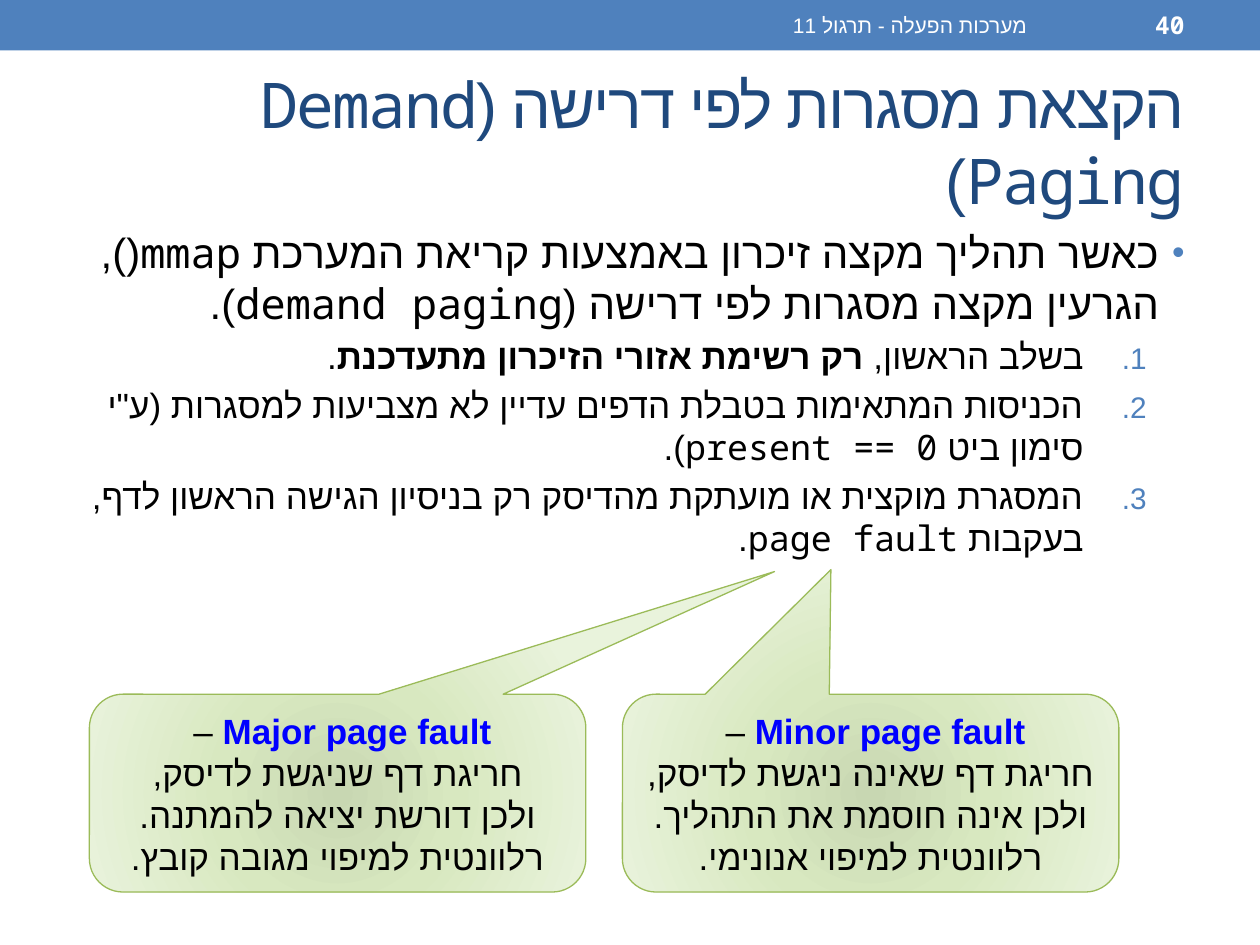
from lxml import etree
from pptx import Presentation
from pptx.dml.color import RGBColor
from pptx.enum.shapes import MSO_SHAPE
from pptx.enum.text import MSO_ANCHOR, PP_ALIGN
from pptx.oxml import parse_xml
from pptx.oxml.ns import qn
from pptx.util import Inches, Pt

RECTANGLE = MSO_SHAPE.RECTANGLE
CALLOUT = MSO_SHAPE.ROUNDED_RECTANGULAR_CALLOUT
TOP, MIDDLE = MSO_ANCHOR.TOP, MSO_ANCHOR.MIDDLE
RIGHT, CENTER = PP_ALIGN.RIGHT, PP_ALIGN.CENTER
DRAWING = "http://schemas.openxmlformats.org/drawingml/2006/main"

THEME = {
    "mono": "Noto Sans Mono", "sans": "Arial",
    "accent": "4F81BD", "title": "1F497D", "text": "000000", "light": "FFFFFF",
    "term": "0000FF", "callout_line": "9BBB59",
    "gradient": [(0, "C8D7B2"), (45, "D8E8C0"), (100, "E9F3DC")],
    "title_size": 36, "body_size": 24, "item_size": 20, "number_size": 14, "footer_size": 12,
}

FOOTER = "מערכות הפעלה - תרגול 11"
SLIDE_NUMBER = "40"
TITLE = "הקצאת מסגרות לפי דרישה (Demand Paging)"
LEAD = "כאשר תהליך מקצה זיכרון באמצעות קריאת המערכת mmap(), הגרעין מקצה מסגרות לפי דרישה (demand paging)."
STEPS = [
    [("בשלב הראשון, ", False), ("רק רשימת אזורי הזיכרון מתעדכנת", True), (".", False)],
    [("הכניסות המתאימות בטבלת הדפים עדיין לא מצביעות למסגרות (ע\"י סימון ביט present == 0).", False)],
    [("המסגרת מוקצית או מועתקת מהדיסק רק בניסיון הגישה הראשון לדף, בעקבות page fault.", False)],
]
CALLOUTS = [
    {"term": "Major page fault ", "pointer": (0.88, -1.12),
     "lines": ["חריגת דף שניגשת לדיסק,\nולכן דורשת יציאה להמתנה.", "רלוונטית למיפוי מגובה קובץ."]},
    {"term": "Minor page fault ", "pointer": (-0.08, -1.13),
     "lines": ["חריגת דף שאינה ניגשת לדיסק,\nולכן אינה חוסמת את התהליך.", "רלוונטית למיפוי אנונימי."]},
]
CALLOUT_LEFT, CALLOUT_TOP, CALLOUT_PITCH = 0.71, 5.51, 4.23
CALLOUT_WIDTH, CALLOUT_HEIGHT = 3.94, 1.57


def format_run(run, size, color, font, bold=False, complex_font=THEME["sans"]):
    run.font.size = Pt(size)
    run.font.bold = bold
    run.font.name = font
    run.font.color.rgb = RGBColor.from_string(THEME[color])
    etree.SubElement(run.font._element, qn("a:cs"), typeface=complex_font)


def set_direction(paragraph, alignment):
    paragraph.alignment = alignment
    paragraph._p.get_or_add_pPr().set("rtl", "1")


def add_text_box(slide, box, anchor=MIDDLE):
    text_frame = slide.shapes.add_textbox(*map(Inches, box)).text_frame
    text_frame.word_wrap = True
    text_frame.vertical_anchor = anchor
    return text_frame


def add_line(slide, box, text, size, color, bold=False, complex_font=THEME["sans"]):
    paragraph = add_text_box(slide, box).paragraphs[0]
    paragraph.text = text
    set_direction(paragraph, RIGHT)
    format_run(paragraph.runs[0], size, color, THEME["mono"], bold, complex_font)
    return paragraph


def set_bullet(paragraph, size, margin, hanging, marker, **attributes):
    set_direction(paragraph, RIGHT)
    paragraph.space_before = Pt(size * 0.2)
    properties = paragraph._p.get_or_add_pPr()
    properties.set("marL", str(Inches(margin)))
    properties.set("indent", str(-Inches(hanging)))
    color = etree.SubElement(properties, qn("a:buClr"))
    etree.SubElement(color, qn("a:srgbClr"), val=THEME["accent"])
    etree.SubElement(properties, qn("a:buSzPct"), val="85000")
    etree.SubElement(properties, qn("a:buFont"), typeface=THEME["sans"])
    etree.SubElement(properties, qn(marker), **attributes)


def add_body(slide):
    text_frame = add_text_box(slide, (0.5, 1.75, 9, 5.33), TOP)
    lead = text_frame.paragraphs[0]
    lead.text = LEAD
    set_bullet(lead, THEME["body_size"], 0.2, 0.2, "a:buChar", char="•")
    format_run(lead.runs[0], THEME["body_size"], "text", THEME["mono"])
    for step in STEPS:
        paragraph = text_frame.add_paragraph()
        paragraph.level = 1
        set_bullet(paragraph, THEME["item_size"], 0.8, 0.5, "a:buAutoNum", type="arabicPeriod")
        for text, bold in step:
            run = paragraph.add_run()
            run.text = text
            format_run(run, THEME["item_size"], "text", THEME["mono"], bold)


def set_gradient(shape):
    stops = "".join(
        f'<a:gs pos="{position * 1000}"><a:srgbClr val="{color}"/></a:gs>'
        for position, color in THEME["gradient"])
    gradient = parse_xml(
        f'<a:gradFill xmlns:a="{DRAWING}" rotWithShape="1"><a:gsLst>{stops}</a:gsLst>'
        '<a:path path="circle"><a:fillToRect l="100000" t="100000" r="100000" b="100000"/>'
        '</a:path></a:gradFill>')
    shape._element.spPr.find(qn("a:prstGeom")).addnext(gradient)


def add_callout(slide, index, callout):
    left = CALLOUT_LEFT + index * CALLOUT_PITCH
    box = (left, CALLOUT_TOP, CALLOUT_WIDTH, CALLOUT_HEIGHT)
    shape = slide.shapes.add_shape(CALLOUT, *map(Inches, box))
    shape.shadow.inherit = False
    shape.adjustments[0], shape.adjustments[1] = callout["pointer"]
    shape.adjustments[2] = 0.17
    set_gradient(shape)
    shape.line.color.rgb = RGBColor.from_string(THEME["callout_line"])
    shape.line.width = Pt(0.75)
    text_frame = shape.text_frame
    text_frame.word_wrap = True
    text_frame.vertical_anchor = MIDDLE
    heading = text_frame.paragraphs[0]
    for text, color, bold in ((callout["term"], "term", True), ("– ", "text", False)):
        run = heading.add_run()
        run.text = text
        format_run(run, THEME["item_size"], color, THEME["sans"], bold)
    for line in callout["lines"]:
        paragraph = text_frame.add_paragraph()
        paragraph.text = line
        for run in paragraph.runs:
            format_run(run, THEME["item_size"], "text", THEME["sans"])
    for paragraph in text_frame.paragraphs:
        set_direction(paragraph, CENTER)


def main():
    """Build the demand paging slide and save it."""
    presentation = Presentation()
    presentation.slide_width, presentation.slide_height = Inches(10), Inches(7.5)
    slide = presentation.slides.add_slide(presentation.slide_layouts[6])
    band = slide.shapes.add_shape(RECTANGLE, 0, 0, Inches(10), Inches(0.4))
    band.shadow.inherit = False
    band.fill.solid()
    band.fill.fore_color.rgb = RGBColor.from_string(THEME["accent"])
    band.line.fill.background()
    title = add_line(slide, (0.5, 0.58, 9, 1.08), TITLE, THEME["title_size"], "title")
    title.runs[0].font._element.set("spc", "-100")
    add_body(slide)
    add_line(slide, (8.33, 0.02, 1.17, 0.36), SLIDE_NUMBER, THEME["number_size"], "light",
             True, THEME["mono"])
    for index, callout in enumerate(CALLOUTS):
        add_callout(slide, index, callout)
    add_line(slide, (3.75, 0.02, 4.5, 0.36), FOOTER, THEME["footer_size"], "light")
    presentation.save("out.pptx")


if __name__ == "__main__":
    main()
